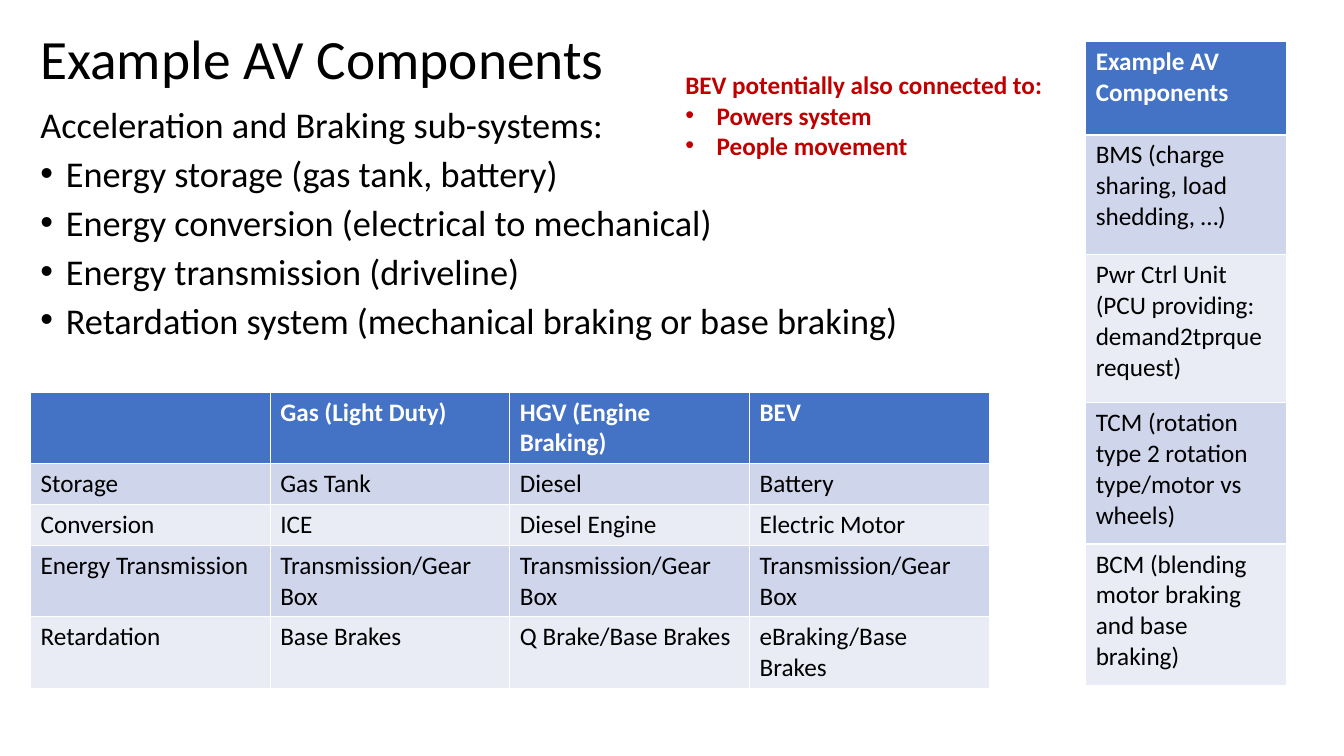
from lxml import etree
from pptx import Presentation
from pptx.dml.color import RGBColor
from pptx.enum import text
from pptx.oxml.ns import qn
from pptx.util import Cm, Pt

FONT = "Calibri"
BLACK, WHITE, RED = "000000", "FFFFFF", "C00000"
HEADER, BANDS = "4472C4", ("CFD5EA", "E9EBF5")
ONE_LINE, TWO_LINES = 1.03, 1.8  # row heights in cm


def rgb(value):
    return RGBColor.from_string(value)


def style(p, size, color=BLACK, bold=False):
    p.font.name = FONT
    p.font.size = Pt(size)
    p.font.bold = bold
    p.font.color.rgb = rgb(color)


def add_bullet(p, indent):
    pPr = p._p.get_or_add_pPr()
    pPr.set("marL", str(Cm(indent)))
    pPr.set("indent", str(-Cm(indent)))
    bullet_font = etree.Element(qn("a:buFont"), typeface="Arial")
    bullet = etree.Element(qn("a:buChar"), char="•")
    pPr.insert_element_before(bullet_font, "a:tabLst", "a:defRPr", "a:extLst")
    pPr.insert_element_before(bullet, "a:tabLst", "a:defRPr", "a:extLst")


def add_text(s, box, lines, size, color=BLACK, bold=False, spacing=1.0,
             before=0, indent=0, wrap=True, anchor=text.MSO_ANCHOR.TOP):
    """Place lines in a box given in cm; all after the first are bulleted."""
    tf = s.shapes.add_textbox(*map(Cm, box)).text_frame
    tf.word_wrap = wrap
    tf.vertical_anchor = anchor
    for i, line in enumerate(lines):
        p = tf.add_paragraph() if i else tf.paragraphs[0]
        p.text = line
        p.line_spacing = spacing
        p.space_before = Pt(before)
        style(p, size, color, bold)
        if i:
            add_bullet(p, indent)


def add_table(s, left, top, col_width, heights, rows):
    """Draw a banded table with a header row; lengths are in cm."""
    cols = len(rows[0])
    table = s.shapes.add_table(len(rows), cols, Cm(left), Cm(top),
                               Cm(col_width * cols), Cm(sum(heights))).table
    for col in table.columns:
        col.width = Cm(col_width)
    for r, (height, values) in enumerate(zip(heights, rows)):
        table.rows[r].height = Cm(height)
        for c, value in enumerate(values):
            cell = table.cell(r, c)
            cell.text = value
            cell.fill.solid()
            cell.fill.fore_color.rgb = rgb(BANDS[(r - 1) % 2] if r else HEADER)
            style(cell.text_frame.paragraphs[0], 18,
                  BLACK if r else WHITE, r == 0)


def main():
    prs = Presentation()
    prs.slide_width, prs.slide_height = Cm(33.87), Cm(19.05)
    s = prs.slides.add_slide(prs.slide_layouts[6])

    add_text(s, (0.77, 0.91, 16.26, 1.27), ["Example AV Components"], 39.6,
             spacing=0.9, anchor=text.MSO_ANCHOR.MIDDLE)
    add_text(s, (0.77, 2.67, 24.15, 6.48), [
        "Acceleration and Braking sub-systems:",
        "Energy storage (gas tank, battery)",
        "Energy conversion (electrical to mechanical)",
        "Energy transmission (driveline)",
        "Retardation system (mechanical braking or base braking)",
    ], 25.9, spacing=0.8, before=10, indent=0.64)
    add_table(s, 0.77, 9.88, 6.04,
              (TWO_LINES, ONE_LINE, ONE_LINE, TWO_LINES, TWO_LINES), [
                  ("", "Gas (Light Duty)", "HGV (Engine Braking)", "BEV"),
                  ("Storage", "Gas Tank", "Diesel", "Battery"),
                  ("Conversion", "ICE", "Diesel Engine", "Electric Motor"),
                  ("Energy Transmission",) + ("Transmission/Gear Box",) * 3,
                  ("Retardation", "Base Brakes", "Q Brake/Base Brakes",
                   "eBraking/Base Brakes"),
              ])
    add_text(s, (17.02, 1.63, 9.58, 2.57), [
        "BEV potentially also connected to:",
        "Powers system",
        "People movement",
    ], 18, RED, bold=True, indent=0.79, wrap=False)
    add_table(s, 27.36, 1.04, 5.06, (2.36, 3.02, 3.73, 3.56, 3.56), [
        ("Example AV Components",),
        ("BMS (charge sharing, load shedding, …)",),
        ("Pwr Ctrl Unit (PCU providing: demand2tprque request)",),
        ("TCM (rotation type 2 rotation type/motor vs wheels)",),
        ("BCM (blending motor braking and base braking)",),
    ])
    prs.save("out.pptx")


if __name__ == "__main__":
    main()
